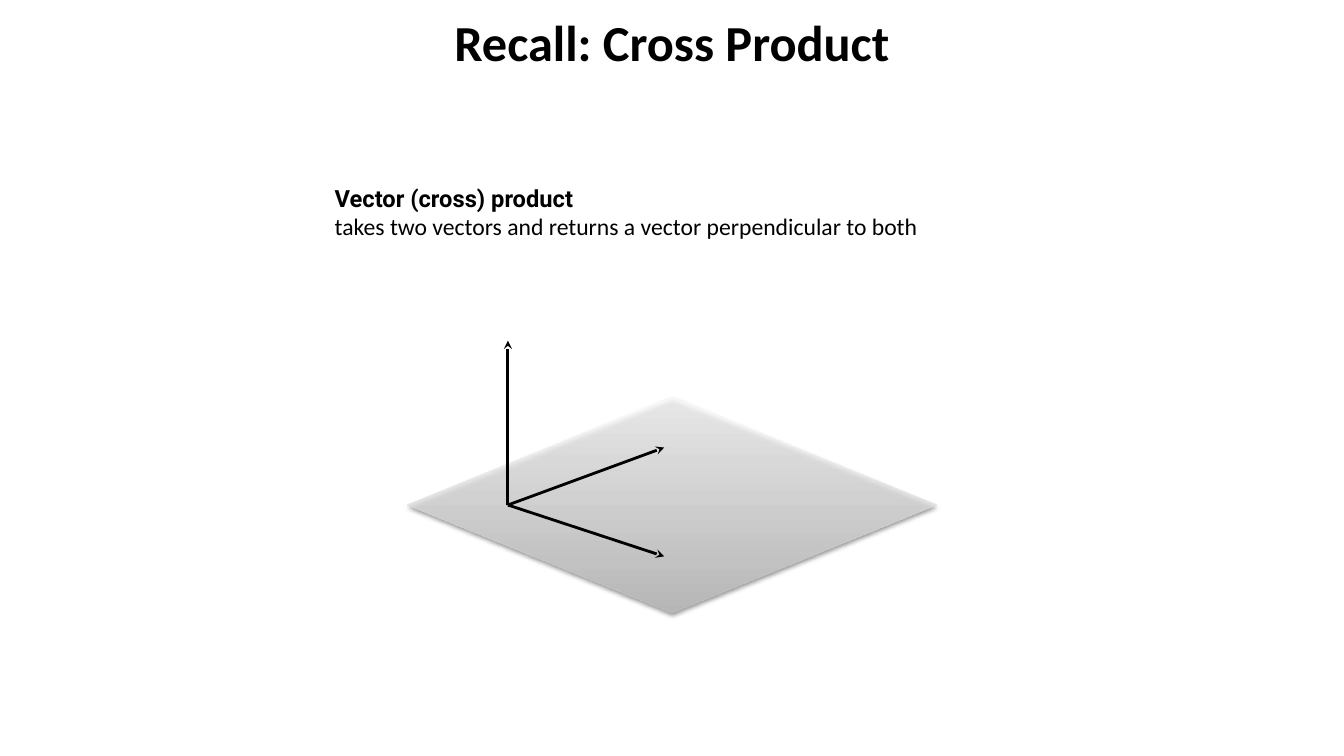
from dataclasses import dataclass

from lxml import etree
from pptx import Presentation
from pptx.dml.color import RGBColor
from pptx.enum.shapes import MSO_CONNECTOR
from pptx.enum.text import MSO_ANCHOR, PP_ALIGN
from pptx.oxml import parse_xml
from pptx.oxml.ns import nsdecls, qn
from pptx.util import Inches, Pt

STRAIGHT = MSO_CONNECTOR.STRAIGHT
MIDDLE = MSO_ANCHOR.MIDDLE
CENTER = PP_ALIGN.CENTER
BLANK_LAYOUT = 6


@dataclass(frozen=True)
class Theme:
    ink: RGBColor = RGBColor(0, 0, 0)
    plane_top: RGBColor = RGBColor(0xFB, 0xFB, 0xFB)
    plane_bottom: RGBColor = RGBColor(0xBE, 0xBE, 0xBE)
    plane_opacity: int = 80
    text_font: str = "Calibri"
    term_font: str = "Roboto"
    title_size: float = 36
    body_size: float = 16.9
    arrow_width: float = 2


THEME = Theme()


def add_text_frame(slide, box, inset_x, inset_y):
    frame = slide.shapes.add_textbox(*map(Inches, box)).text_frame
    frame.word_wrap = True
    frame.vertical_anchor = MIDDLE
    frame.margin_left = frame.margin_right = Inches(inset_x)
    frame.margin_top = frame.margin_bottom = Inches(inset_y)
    return frame


def add_title(slide, box):
    heading = add_text_frame(slide, box, 0.1, 0.05).paragraphs[0]
    heading.text = "Recall: Cross Product"
    heading.alignment = CENTER
    heading.font.name = THEME.text_font
    heading.font.size = Pt(THEME.title_size)
    heading.font.bold = True
    heading.font.color.rgb = THEME.ink


def add_definition(slide, box):
    definition = add_text_frame(slide, box, 0.04, 0.04).paragraphs[0]
    definition.font.size = Pt(THEME.body_size)
    definition.font.color.rgb = THEME.ink
    term = definition.add_run()
    term.text = "Vector (cross) product"
    term.font.name = THEME.term_font
    term.font.bold = True
    definition.add_line_break()
    meaning = definition.add_run()
    meaning.text = "takes two vectors and returns a vector perpendicular to both"
    meaning.font.name = THEME.text_font
    for run in (term, meaning):
        run.font.size = Pt(THEME.body_size)
        run.font.color.rgb = THEME.ink


def add_plane(slide, box):
    left, top, width, height = box
    middle_x, middle_y = left + width / 2, top + height / 2
    corners = [(middle_x, top + height), (left + width, middle_y), (middle_x, top)]
    outline = slide.shapes.build_freeform(Inches(left), Inches(middle_y))
    outline.add_line_segments([(Inches(x), Inches(y)) for x, y in corners])
    plane = outline.convert_to_shape()
    plane.line.fill.background()

    # Translucent gradient, light at the top
    plane.fill.gradient()
    plane.fill.gradient_angle = 270
    for stop, color, position in zip(
        plane.fill.gradient_stops, (THEME.plane_top, THEME.plane_bottom), (0, 1)
    ):
        stop.color.rgb = color
        stop.position = position
    properties = plane._element.spPr
    for color in properties.iter(qn("a:srgbClr")):
        alpha = etree.SubElement(color, qn("a:alpha"))
        alpha.set("val", str(THEME.plane_opacity * 1000))

    # Soft shadow straight below
    properties.append(parse_xml(
        f'<a:effectLst {nsdecls("a")}>'
        f'<a:outerShdw blurRad="{Pt(3)}" dist="{Pt(2)}" dir="5400000" rotWithShape="0">'
        f'<a:srgbClr val="{THEME.ink}"><a:alpha val="50000"/></a:srgbClr>'
        "</a:outerShdw></a:effectLst>"
    ))


def add_vector(slide, origin, tip):
    vector = slide.shapes.add_connector(STRAIGHT, *map(Inches, (*origin, *tip)))
    vector.line.color.rgb = THEME.ink
    vector.line.width = Pt(THEME.arrow_width)
    etree.SubElement(vector.line._get_or_add_ln(), qn("a:tailEnd")).set("type", "stealth")
    etree.SubElement(vector._element.spPr, qn("a:effectLst"))


def add_diagram(slide, box):
    left, top, width, height = box
    add_plane(slide, box)
    # Two vectors in the plane and their perpendicular, from a shared origin
    origin = (left + 0.19 * width, top + height / 2)
    for run, rise in ((1.55, -0.57), (1.55, 0.51), (0, -1.63)):
        add_vector(slide, origin, (origin[0] + run, origin[1] + rise))


def main():
    deck = Presentation()
    deck.slide_width, deck.slide_height = Inches(13.33), Inches(7.5)
    slide = deck.slides.add_slide(deck.slide_layouts[BLANK_LAYOUT])
    add_diagram(slide, (4.04, 3.94, 5.25, 2.14))
    add_title(slide, (0.22, 0, 12.89, 0.83))
    add_definition(slide, (3.28, 1.78, 6.77, 0.65))
    deck.save("out.pptx")


if __name__ == "__main__":
    main()
